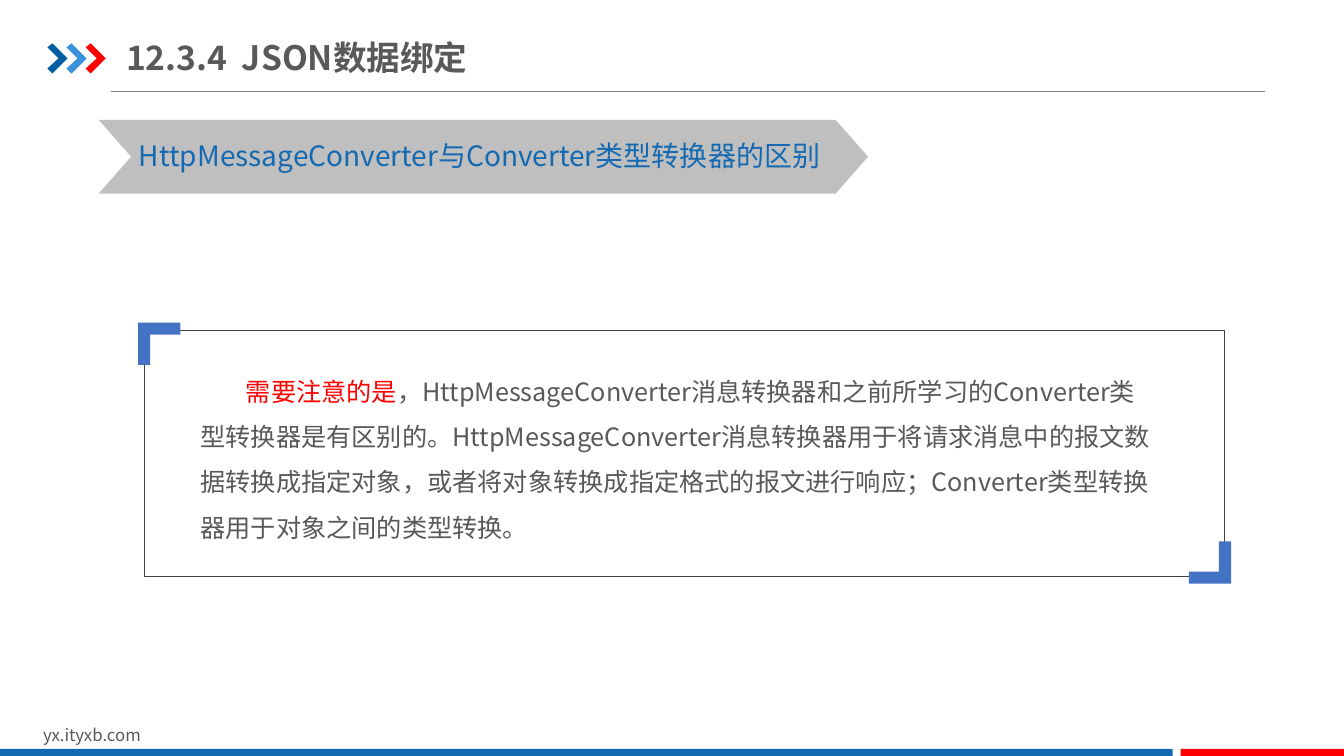
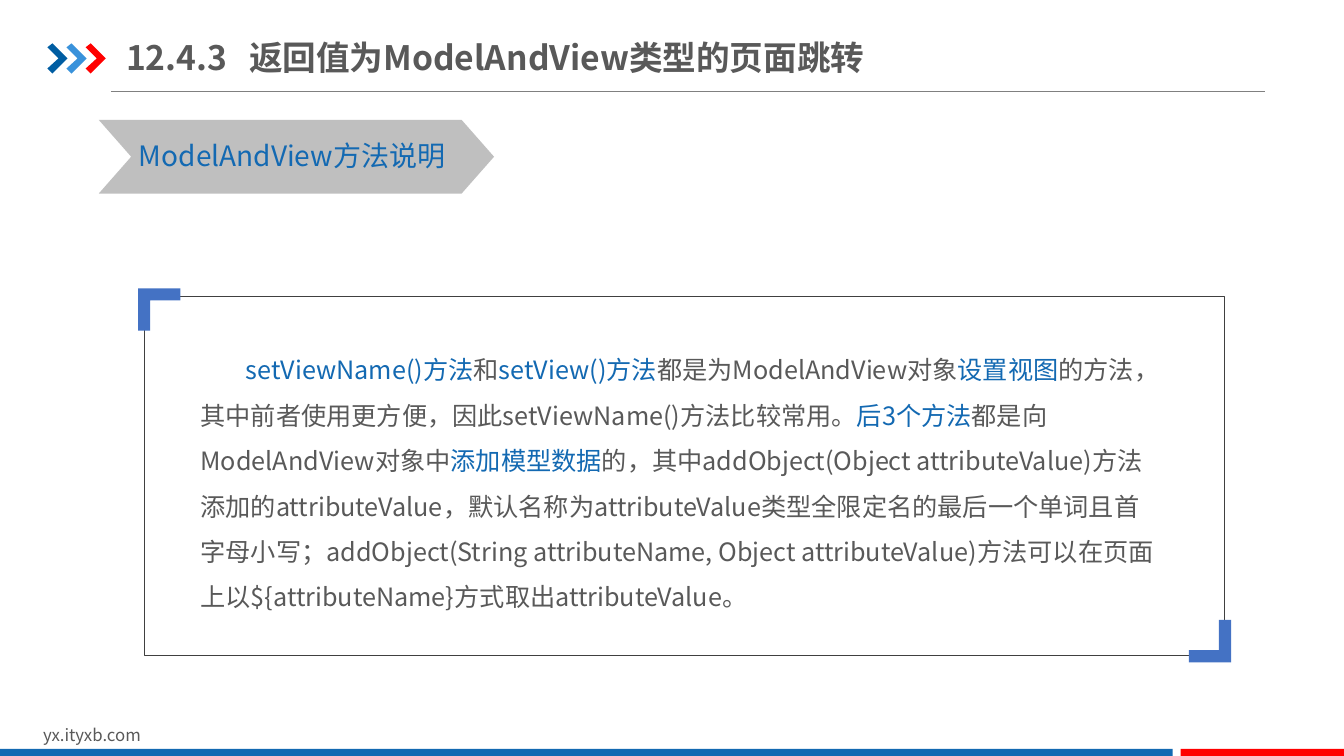
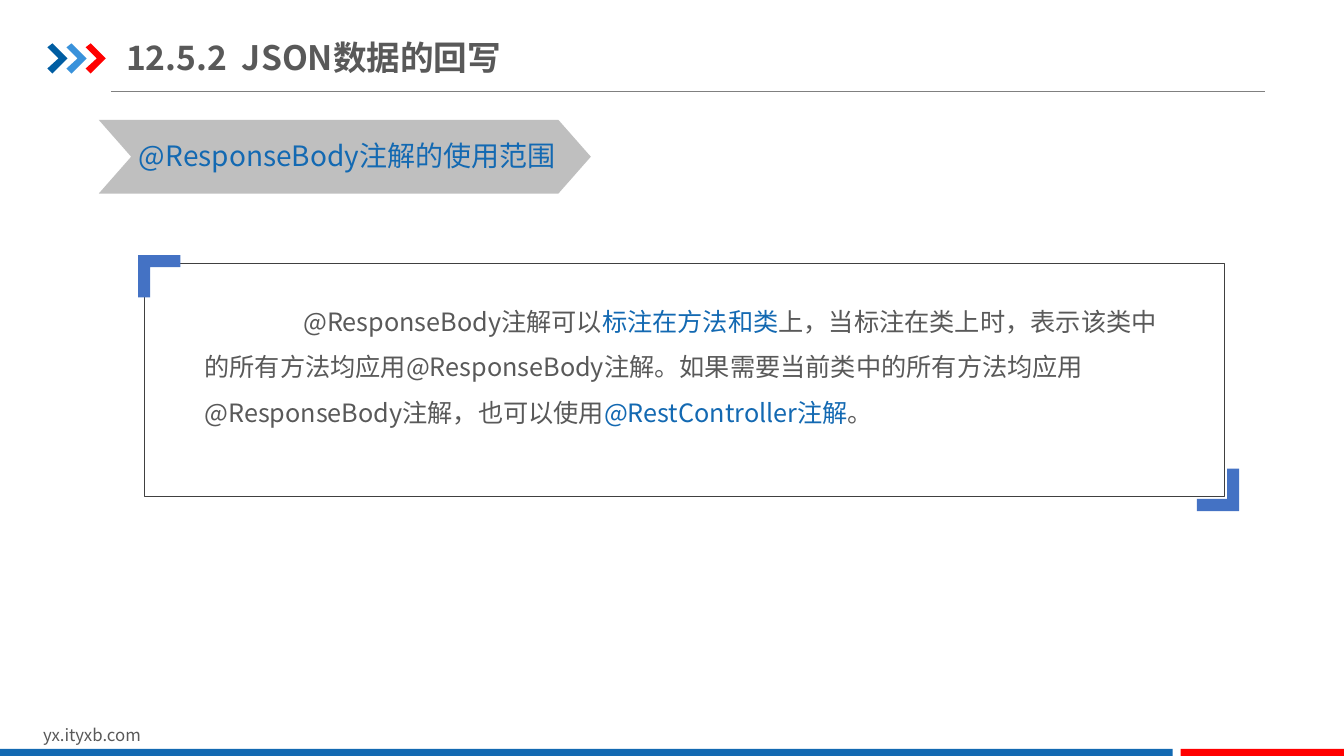
from dataclasses import dataclass

from lxml import etree
from pptx import Presentation
from pptx import util as u
from pptx.dml import color
from pptx.enum import shapes, text
from pptx.oxml import ns


@dataclass(frozen=True)
class Theme:
    font: str = "Noto Sans CJK SC"
    ink: str = "595959"
    blue: str = "1369B2"
    red: str = "FF0000"
    arrows: tuple = ("005DA2", "3992DB", "FF0000")
    banner: str = "BFBFBF"
    corner: str = "4472C4"
    rule: str = "808080"
    frame: str = "404040"
    title_size: int = 24
    banner_size: int = 20
    body_size: int = 18
    footer_size: int = 12


@dataclass(frozen=True)
class Box:
    left: float
    top: float
    width: float
    height: float

    def inches(self):
        return [u.Inches(n) for n in (self.left, self.top, self.width, self.height)]


THEME = Theme()
PAGE = Box(0, 0, 13.33, 7.5)
CORNER_SIZE = 0.42
CORNER_BAR = 0.12
ARROW = [(0, 0.04), (0.05, 0), (0.2, 0.15), (0.05, 0.3), (0, 0.25), (0.11, 0.15)]
CORNER = [(0, 0), (CORNER_SIZE, 0), (CORNER_SIZE, CORNER_BAR), (CORNER_BAR, CORNER_BAR),
          (CORNER_BAR, CORNER_SIZE), (0, CORNER_SIZE)]


def rgb(value):
    return color.RGBColor.from_string(value)


def paint(shape, fill):
    shape.shadow.inherit = False
    shape.fill.solid()
    shape.fill.fore_color.rgb = rgb(fill)
    shape.line.fill.background()


def add_filled(slide, kind, box, fill):
    shape = slide.shapes.add_shape(kind, *box.inches())
    paint(shape, fill)
    return shape


def add_outline(slide, left, top, points, fill, direction=1):
    corners = [(u.Inches(left + direction * x), u.Inches(top + direction * y)) for x, y in points]
    builder = slide.shapes.build_freeform(*corners[0], scale=1.0)
    builder.add_line_segments(corners[1:], close=True)
    paint(builder.convert_to_shape(), fill)


def add_text(slide, box, runs, size, ink, bold=False, indent=0, tab=None, spacing=None):
    shape = slide.shapes.add_textbox(*box.inches())
    frame = shape.text_frame
    frame.word_wrap = True
    paragraph = frame.paragraphs[0]
    properties = paragraph._p.get_or_add_pPr()
    if indent:
        properties.set("indent", str(u.Inches(indent)))
    if tab:
        stops = etree.SubElement(properties, ns.qn("a:tabLst"))
        etree.SubElement(stops, ns.qn("a:tab"), pos=str(u.Inches(tab)), algn="l")
    if spacing:
        paragraph.line_spacing = spacing
    font = paragraph.font
    font.name, font.size, font.bold = THEME.font, u.Pt(size), bold
    font.color.rgb = rgb(ink)
    defaults = properties.find(ns.qn("a:defRPr"))
    etree.SubElement(defaults, ns.qn("a:ea"), typeface=THEME.font)
    for words, accent in runs:
        run = paragraph.add_run()
        run.text = words
        if accent:
            run.font.color.rgb = rgb(accent)
    return frame


def add_header(slide, box, number, title, width, tab):
    for index, fill in enumerate(THEME.arrows):
        add_outline(slide, box.left + 0.19 * index, box.top + 0.14, ARROW, fill)
    rule_top = u.Inches(box.top + 0.62)
    rule = slide.shapes.add_connector(
        shapes.MSO_CONNECTOR.STRAIGHT, u.Inches(box.left + 0.63), rule_top,
        u.Inches(box.left + box.width), rule_top)
    rule.line.color.rgb = rgb(THEME.rule)
    rule.line.width = u.Pt(0.5)
    etree.SubElement(rule._element.spPr, ns.qn("a:effectLst"))
    frame = add_text(slide, Box(box.left + 0.78, box.top, width, 0.55),
                     [(f"{number}\t{title}", None)], THEME.title_size, THEME.ink, True, tab=tab)
    frame.vertical_anchor = text.MSO_ANCHOR.MIDDLE
    frame.margin_left = frame.margin_right = 0
    frame.margin_top = frame.margin_bottom = u.Inches(0.07)


def add_footer(slide, box):
    add_text(slide, Box(box.left + 0.33, box.top, 3.18, 0.3),
             [("yx.ityxb.com", None)], THEME.footer_size, THEME.ink)
    split, gap, height = 11.63, 0.08, 0.07
    top = box.top + box.height - height
    blue = Box(box.left, top, split, height)
    red = Box(box.left + split + gap, top, box.width - split - gap, height)
    for band, fill in ((blue, THEME.blue), (red, THEME.red)):
        add_filled(slide, shapes.MSO_SHAPE.RECTANGLE, band, fill)


def add_banner(slide, box, label):
    chevron = add_filled(slide, shapes.MSO_SHAPE.CHEVRON, box, THEME.banner)
    chevron.adjustments[0] = 0.44
    add_text(slide, Box(box.left + 0.3, box.top + 0.14, box.width - 0.4, 0.44),
             [(label, None)], THEME.banner_size, THEME.blue)


def add_note(slide, box, inset, indent, runs, overhang):
    dx, dy = inset
    add_text(slide, Box(box.left + dx, box.top + dy, 9.71, box.height - dy - 0.2),
             runs, THEME.body_size, THEME.ink, indent=indent, spacing=1.5)
    frame = slide.shapes.add_shape(shapes.MSO_SHAPE.RECTANGLE, *box.inches())
    frame.shadow.inherit = False
    frame.fill.background()
    frame.line.color.rgb = rgb(THEME.frame)
    frame.line.width = u.Pt(0.25)
    add_outline(slide, box.left - 0.06, box.top - 0.08, CORNER, THEME.corner)
    add_outline(slide, box.left + box.width + overhang, box.top + box.height + overhang,
                CORNER, THEME.corner, direction=-1)


def add_note_slide(presentation, header, banner, note):
    slide = presentation.slides.add_slide(presentation.slide_layouts[6])
    add_footer(slide, Box(PAGE.left, 7.14, PAGE.width, PAGE.height - 7.14))
    banner_width, label = banner
    add_banner(slide, Box(0.98, 1.19, banner_width, 0.73), label)
    add_header(slide, Box(0.47, 0.29, 12.08, 0.62), *header)
    top, height, *content = note
    add_note(slide, Box(1.43, top, 10.71, height), *content)


SLIDES = [
    (
        ("12.3.4", "JSON数据绑定", 3.61, 1.15),
        (7.63, "HttpMessageConverter与Converter类型转换器的区别"),
        (3.28, 2.44, (0.46, 0.25), 0.45, [
            ("需要注意的是", THEME.red),
            ("，HttpMessageConverter消息转换器和之前所学习的Converter类型转换器是有区别的。"
             "HttpMessageConverter消息转换器用于将请求消息中的报文数据转换成指定对象，"
             "或者将对象转换成指定格式的报文进行响应；Converter类型转换器用于对象之间的类型转换。", None),
        ], 0.07),
    ),
    (
        ("12.4.3", "返回值为ModelAndView类型的页面跳转", 7.65, 1.22),
        (3.92, "ModelAndView方法说明"),
        (2.94, 3.56, (0.46, 0.38), 0.45, [
            ("setViewName()方法", THEME.blue),
            ("和", None),
            ("setView()方法", THEME.blue),
            ("都是为ModelAndView对象", None),
            ("设置视图", THEME.blue),
            ("的方法，其中前者使用更方便，因此setViewName()方法比较常用。", None),
            ("后3个方法", THEME.blue),
            ("都是向ModelAndView对象中", None),
            ("添加模型数据", THEME.blue),
            ("的，其中addObject(Object attributeValue)方法添加的attributeValue，"
             "默认名称为attributeValue类型全限定名的最后一个单词且首字母小写；"
             "addObject(String attributeName, Object attributeValue)方法可以在页面上以"
             "${attributeName}方式取出attributeValue。", None),
        ], 0.07),
    ),
    (
        ("12.5.2", "JSON数据的回写", 4.09, 1.15),
        (4.88, "@ResponseBody注解的使用范围"),
        (2.61, 2.31, (0.5, 0.23), 0.98, [
            ("@ResponseBody注解可以", None),
            ("标注在方法和类", THEME.blue),
            ("上，当标注在类上时，表示该类中的所有方法均应用@ResponseBody注解。"
             "如果需要当前类中的所有方法均应用@ResponseBody注解，也可以使用", None),
            ("@RestController注解", THEME.blue),
            ("。", None),
        ], 0.15),
    ),
]


def main():
    presentation = Presentation()
    presentation.slide_width = u.Inches(PAGE.width)
    presentation.slide_height = u.Inches(PAGE.height)
    for header, banner, note in SLIDES:
        add_note_slide(presentation, header, banner, note)
    presentation.save("out.pptx")


if __name__ == "__main__":
    main()
